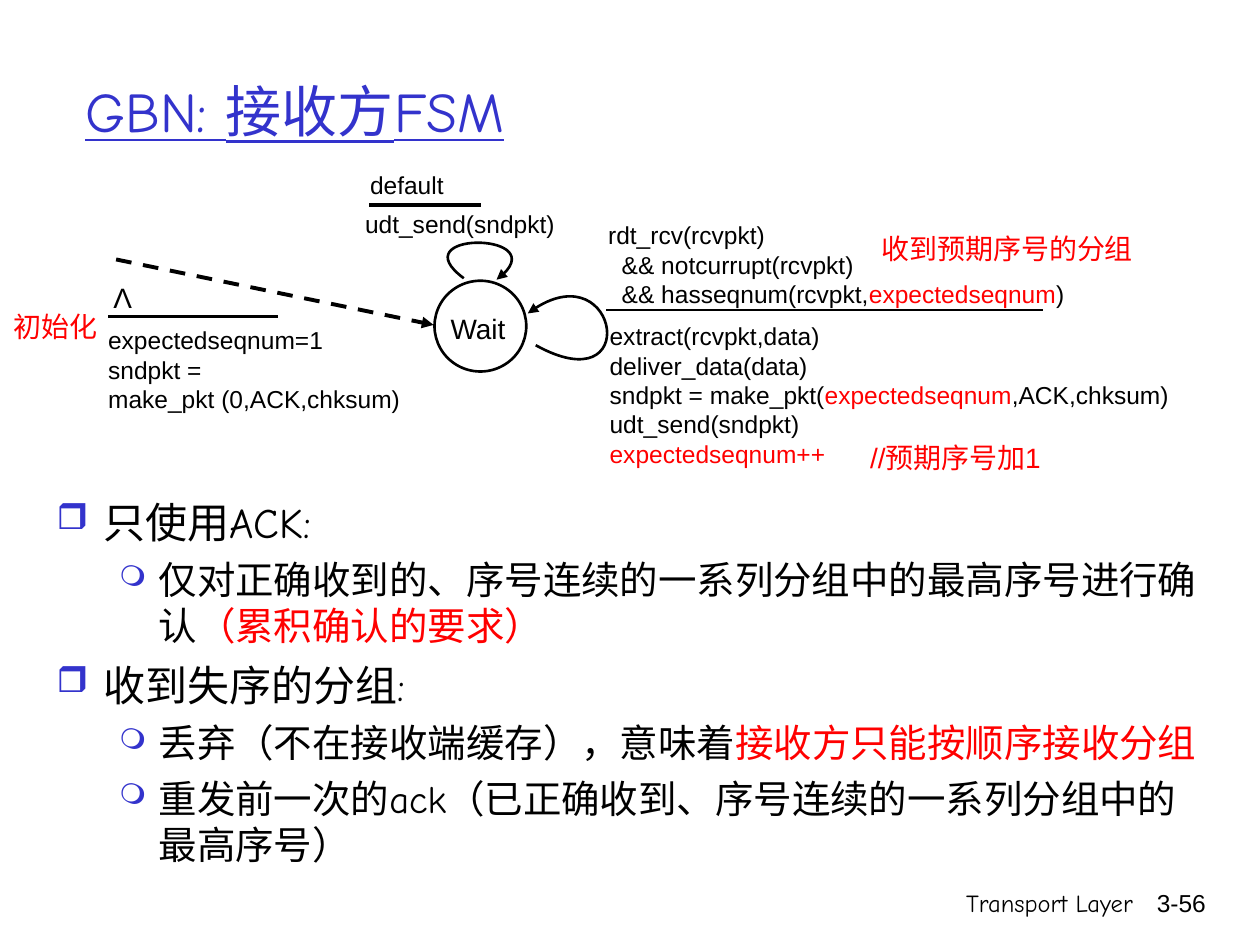
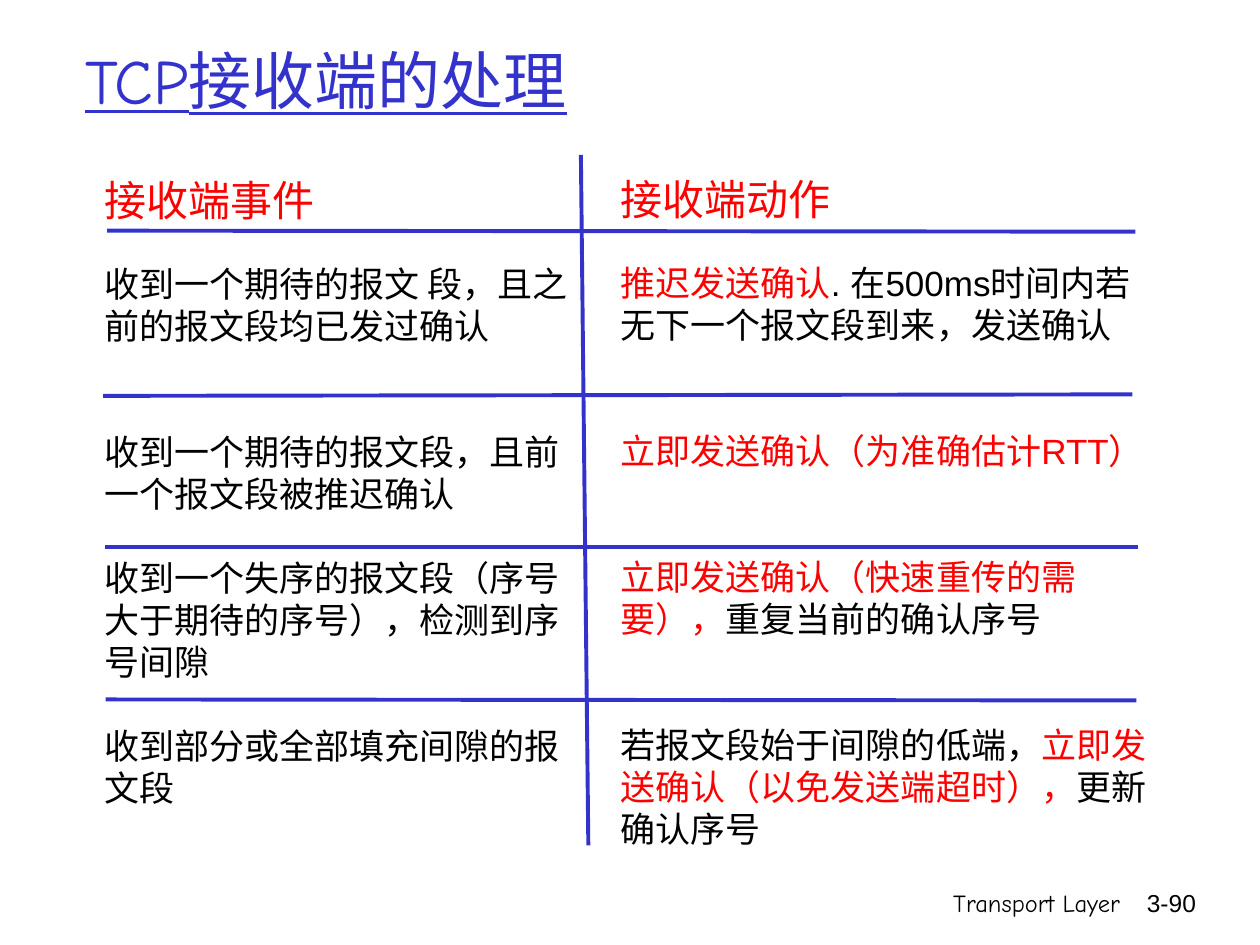
"""Builds two transport layer slides: the GBN receiver FSM and TCP receiver handling."""
from lxml import etree
from pptx import Presentation
from pptx.dml.color import RGBColor
from pptx.enum.dml import MSO_LINE
from pptx.enum.shapes import MSO_CONNECTOR, MSO_SHAPE
from pptx.enum.text import MSO_ANCHOR, PP_ALIGN
from pptx.oxml.ns import qn
from pptx.util import Cm, Pt

LEFT, CENTER, RIGHT = PP_ALIGN.LEFT, PP_ALIGN.CENTER, PP_ALIGN.RIGHT
MIDDLE = MSO_ANCHOR.MIDDLE
DASH = MSO_LINE.DASH
STRAIGHT = MSO_CONNECTOR.STRAIGHT
OVAL = MSO_SHAPE.OVAL

COLORS = {"text": "000000", "accent": "3333CC", "highlight": "FF0000", "paper": "FFFFFF"}
HEADING_FONT, PLAIN_FONT = "Comic Neue", "Arial"

BULLETS = [
    (0, "只使用ACK:"),
    (1, "仅对正确收到的、序号连续的一系列分组中的最高序号进行确认|（累积确认的要求）|"),
    (0, "收到失序的分组:"),
    (1, "丢弃（不在接收端缓存），意味着|接收方只能按顺序接收分组|"),
    (1, "重发前一次的ack（已正确收到、序号连续的一系列分组中的最高序号）"),
]
BULLET_LEVELS = [
    {"symbol": "❒", "percent": 85, "size": 24, "before": 6, "margin": 0.95, "hanging": 0.95},
    {"symbol": "❍", "percent": 75, "size": 22, "before": 5.5, "margin": 2.06, "hanging": 0.8},
]
FSM_CODE = [
    ((7.11, 4.09, 4.5, 0.86), ["udt_send(sndpkt)"]),
    ((7.21, 3.3, 2.01, 0.69), ["default"]),
    ((12.01, 4.32, 9.91, 1.57), [
        "rdt_rcv(rcvpkt)",
        "  && notcurrupt(rcvpkt)",
        "  && hasseqnum(rcvpkt,|expectedseqnum|)",
    ]),
    ((12.04, 6.35, 11.99, 2.39), [
        "extract(rcvpkt,data)",
        "deliver_data(data)",
        "sndpkt = make_pkt(|expectedseqnum|,ACK,chksum)",
        "udt_send(sndpkt)",
        "|expectedseqnum++|",
    ]),
    ((1.93, 6.43, 10.11, 2.72), ["expectedseqnum=1", "sndpkt =", "make_pkt (0,ACK,chksum)"]),
]
FSM_LABELS = [
    ((8.53, 6.15, 2.21, 0.66), "Wait"),
    ((2.03, 5.54, 0.89, 0.94), "Λ"),
    ((0.03, 6.12, 2.18, 0.94), "|初始化|"),
    ((17.53, 4.55, 5.56, 0.94), "|收到预期序号的分组|"),
    ((17.15, 8.76, 4.22, 0.94), "|//预期序号加1|"),
]
WAIT_STATE = (8.76, 5.66, 1.85, 1.83)
INITIAL_ARROW = (2.34, 5.23, 8.74, 6.55)
EVENT_RULES = [
    ((7.44, 4.14, 9.7, 4.14), 2.25),
    ((12.22, 6.25, 21.03, 6.25), 1.5),
    ((2.18, 6.38, 5.61, 6.38), 2.25),
]
SELF_LOOPS = [
    [(10.8, 6.96), (12.95, 8.15), (12.45, 4.95), (10.64, 6.32)],
    [(9.35, 5.61), (8.08, 4.67), (11.3, 4.67), (10.01, 5.64)],
]

HEADER_GAP, ROW_GAP = 21.6, 24
EVENTS = ["|接收端事件|", [
    (HEADER_GAP, ["收到一个期待的报文 段，且之", "前的报文段均已发过确认"]),
    (2 * ROW_GAP, ["收到一个期待的报文段，且前", "一个报文段被推迟确认"]),
    (ROW_GAP, ["收到一个失序的报文段（序号", "大于期待的序号），检测到序", "号间隙"]),
    (ROW_GAP, ["收到部分或全部填充间隙的报", "文段"]),
]]
ACTIONS = ["|接收端动作|", [
    (HEADER_GAP, ["|推迟发送确认|. 在500ms时间内若", "无下一个报文段到来，发送确认"]),
    (2 * ROW_GAP, ["|立即发送确认（为准确估计RTT）|"]),
    (2 * ROW_GAP, ["|立即发送确认（快速重传的需|", "|要），|重复当前的确认序号"]),
    (2 * ROW_GAP, ["若报文段始于间隙的低端，|立即发|", "|送确认（以免发送端超时），|更新", "确认序号"]),
]]
GRID_LINES = [
    (2.16, 4.65, 22.89, 4.67),
    (2.08, 7.98, 22.83, 7.95),
    (2.11, 11.02, 22.94, 11.02),
    (2.13, 14.1, 22.91, 14.12),
    (11.71, 3.12, 11.86, 17.04),
]


def color(name):
    return RGBColor.from_string(COLORS[name])


def lengths(values):
    return [Cm(value) for value in values]


def add_text(slide, box, lines, size, font=PLAIN_FONT, align=LEFT, wrap=True, base="text"):
    shape = slide.shapes.add_textbox(*lengths(box))
    frame = shape.text_frame
    frame.word_wrap = wrap
    for index, line in enumerate(lines):
        paragraph = frame.add_paragraph() if index else frame.paragraphs[0]
        paragraph.alignment = align
        for position, part in enumerate(line.split("|")):
            if part:
                run = paragraph.add_run()
                run.text = part
                run.font.name = font
                run.font.size = Pt(size)
                run.font.color.rgb = color("highlight" if position % 2 else base)
    return frame


def add_label(slide, box, label):
    frame = add_text(slide, box, [label], 16, align=CENTER, wrap=False)
    frame.margin_left = frame.margin_right = Cm(0)


def resize(paragraph, size):
    for run in paragraph.runs:
        run.font.size = Pt(size)


def add_arrowhead(shape):
    line = shape.element.spPr.find(qn("a:ln"))
    etree.SubElement(line, qn("a:tailEnd"), type="triangle")


def add_line(slide, ends, width, name="text"):
    connector = slide.shapes.add_connector(STRAIGHT, *lengths(ends))
    connector.line.color.rgb = color(name)
    connector.line.width = Pt(width)
    etree.SubElement(connector.element.spPr, qn("a:effectLst"))
    return connector


def outline(shape):
    shape.shadow.inherit = False
    shape.line.color.rgb = color("text")
    shape.line.width = Pt(1.5)


def add_loop(slide, points):
    start, *controls = [lengths(point) for point in points]
    builder = slide.shapes.build_freeform(*start)
    builder.add_line_segments(controls, close=False)
    shape = builder.convert_to_shape()
    curve_path = next(shape.element.iter(qn("a:path")))
    segments = curve_path.findall(qn("a:lnTo"))
    curve = etree.SubElement(curve_path, qn("a:cubicBezTo"))
    for segment in segments:
        curve.append(segment[0])
        curve_path.remove(segment)
    shape.fill.background()
    outline(shape)
    add_arrowhead(shape)


def add_bullet(paragraph, symbol, percent, size, before, margin, hanging):
    properties = paragraph._p.get_or_add_pPr()
    properties.set("marL", str(Cm(margin)))
    properties.set("indent", str(-Cm(hanging)))
    bullet_color = etree.SubElement(properties, qn("a:buClr"))
    etree.SubElement(bullet_color, qn("a:srgbClr"), val=COLORS["accent"])
    etree.SubElement(properties, qn("a:buSzPct"), val=str(percent * 1000))
    etree.SubElement(properties, qn("a:buChar"), char=symbol)
    paragraph.space_before = Pt(before)
    resize(paragraph, size)


def add_slide(presentation, title, title_top, title_size, number, footer_lefts):
    slide = presentation.slides.add_slide(presentation.slide_layouts[6])
    label_left, number_left = footer_lefts
    add_text(slide, (label_left, 17.78, 8.05, 1.27), ["Transport Layer"], 14, HEADING_FONT, RIGHT)
    add_text(slide, (number_left, 17.78, 1.88, 1.27), [number], 14, align=RIGHT)
    frame = add_text(slide, (1.47, title_top, 21.59, 3.18), [title], title_size,
                     HEADING_FONT, base="accent")
    frame.vertical_anchor = MIDDLE
    frame.paragraphs[0].runs[0].font.underline = True
    return slide


def add_bullets(slide):
    frame = add_text(slide, (0.89, 9.88, 23.8, 7.7), [text for _, text in BULLETS], 24, HEADING_FONT)
    for paragraph, (level, _) in zip(frame.paragraphs, BULLETS):
        paragraph.level = level
        add_bullet(paragraph, **BULLET_LEVELS[level])
    frame.paragraphs[0].space_before = Pt(0)


def add_state_machine(slide):
    state = slide.shapes.add_shape(OVAL, *lengths(WAIT_STATE))
    state.fill.solid()
    state.fill.fore_color.rgb = color("paper")
    outline(state)
    arrow = add_line(slide, INITIAL_ARROW, 2.25)
    arrow.line.dash_style = DASH
    add_arrowhead(arrow)
    for ends, width in EVENT_RULES:
        add_line(slide, ends, width)
    for points in SELF_LOOPS:
        add_loop(slide, points)
    for box, lines in FSM_CODE:
        add_text(slide, box, lines, 14, wrap=False)
    for box, label in FSM_LABELS:
        add_label(slide, box, label)


def add_column(slide, box, column, wrap):
    header, rows = column
    lines = [header] + [line for _, row in rows for line in row]
    frame = add_text(slide, box, lines, 20, wrap=wrap)
    resize(frame.paragraphs[0], 24)
    first = 1
    for gap, row in rows:
        frame.paragraphs[first].space_before = Pt(gap)
        first += len(row)


def main():
    presentation = Presentation()
    presentation.slide_width, presentation.slide_height = Cm(25.4), Cm(19.05)

    receiver = add_slide(presentation, "GBN: 接收方FSM", 0.64, 32, "3-56", (15.04, 22.68))
    add_bullets(receiver)
    add_state_machine(receiver)

    handling = add_slide(presentation, "TCP接收端的处理", 0, 36, "3-90", (14.78, 22.48))
    add_column(handling, (1.85, 3.39, 9.88, 14.58), EVENTS, wrap=False)
    add_column(handling, (12.26, 3.37, 11.76, 13.89), ACTIONS, wrap=True)
    for ends in GRID_LINES:
        add_line(handling, ends, 2.25, "accent")

    presentation.save("out.pptx")


if __name__ == "__main__":
    main()
